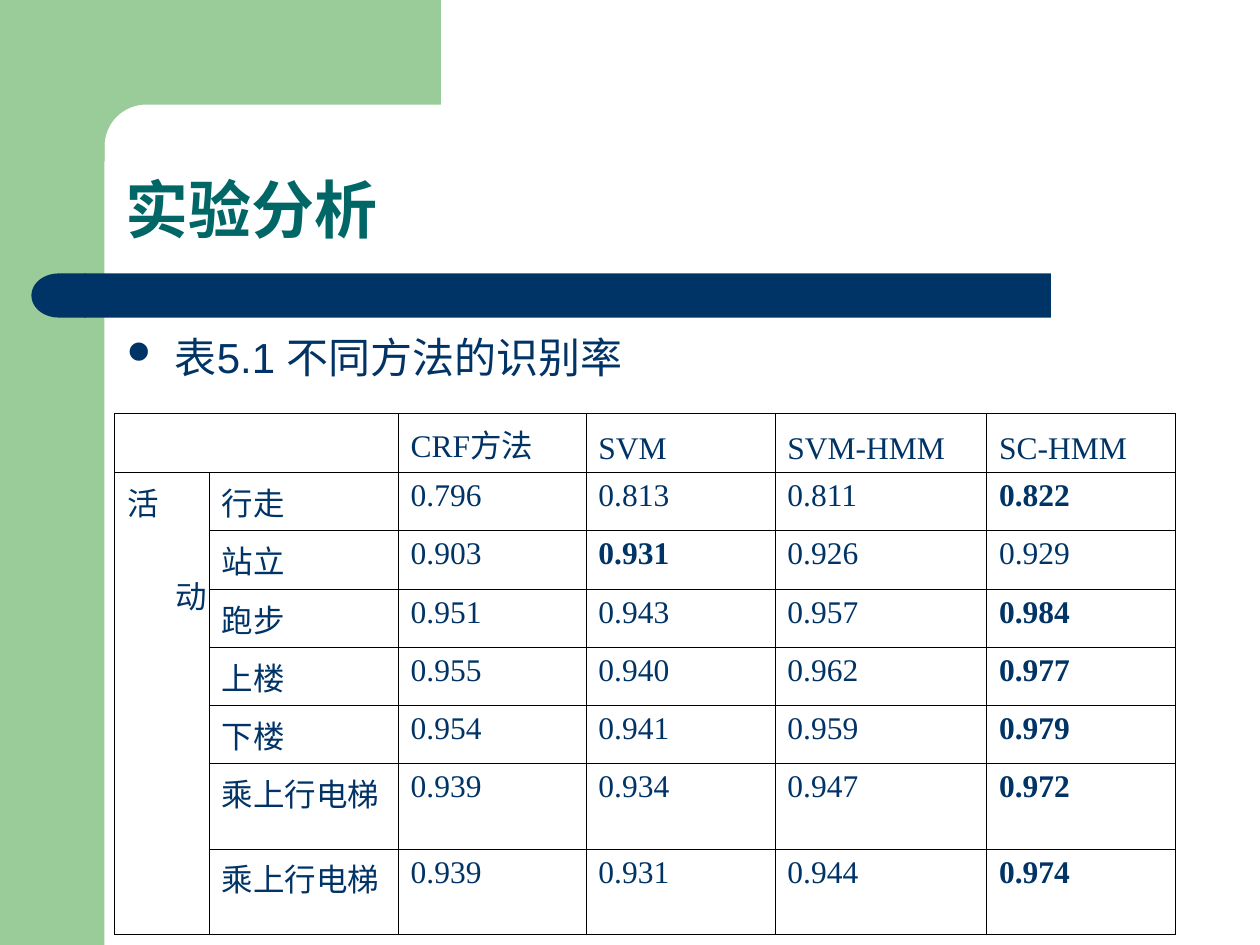
from dataclasses import dataclass
from math import cos, pi, sin

from lxml import etree
from pptx import Presentation
from pptx.dml.color import RGBColor
from pptx.enum.shapes import MSO_SHAPE
from pptx.enum.text import MSO_ANCHOR
from pptx.oxml.ns import qn
from pptx.util import Inches, Pt

RECTANGLE = MSO_SHAPE.RECTANGLE
ROUNDED_RECTANGLE = MSO_SHAPE.ROUNDED_RECTANGLE
DELAY = MSO_SHAPE.FLOWCHART_DELAY
TOP, BOTTOM = MSO_ANCHOR.TOP, MSO_ANCHOR.BOTTOM


@dataclass(frozen=True)
class Theme:
    green: str = "99CC99"
    navy: str = "003366"
    teal: str = "006666"
    border: str = "000000"
    heading_font: str = "Arial"
    table_font: str = "Times New Roman"
    bullet_font: str = "Wingdings"
    title_size: float = 36
    body_size: float = 24
    table_size: float = 18
    thin_line: float = 0.34
    thick_line: float = 0.45
    indent: float = 0.38


@dataclass(frozen=True)
class Box:
    left: float
    top: float
    width: float
    height: float

    def lengths(self) -> tuple:
        return tuple(Inches(v) for v in (self.left, self.top, self.width, self.height))


@dataclass(frozen=True)
class Activity:
    name: str
    rates: tuple[float, ...]


THEME = Theme()
METHODS = ("CRF方法", "SVM", "SVM-HMM", "SC-HMM")
ACTIVITIES = (
    Activity("行走", (0.796, 0.813, 0.811, 0.822)),
    Activity("站立", (0.903, 0.931, 0.926, 0.929)),
    Activity("跑步", (0.951, 0.943, 0.957, 0.984)),
    Activity("上楼", (0.955, 0.940, 0.962, 0.977)),
    Activity("下楼", (0.954, 0.941, 0.959, 0.979)),
    Activity("乘上行电梯", (0.939, 0.934, 0.947, 0.972)),
    Activity("乘上行电梯", (0.939, 0.931, 0.944, 0.974)),
)
COLUMN_WIDTHS = (0.75, 1.5, 1.49, 1.5, 1.68, 1.5)
ROW_HEIGHTS = (0.47, 0.46, 0.47, 0.46, 0.46, 0.46, 0.68, 0.68)


def paint(shape, color: str) -> None:
    shape.shadow.inherit = False
    shape.fill.solid()
    shape.fill.fore_color.rgb = RGBColor.from_string(color)
    shape.line.fill.background()


def add_block(slide, kind, box: Box, color: str):
    shape = slide.shapes.add_shape(kind, *box.lengths())
    paint(shape, color)
    return shape


def add_corner(slide) -> None:
    """Green top band whose inner corner is a quarter circle."""
    radius, steps = 0.33, 16
    center = 0.83 + radius
    angles = [pi / 2 * step / steps for step in range(steps + 1)]
    arc = [(center - radius * sin(a), center - radius * cos(a)) for a in angles]
    points = [(3.5, 0.83), *arc, (0.83, 1.28), (0.5, 1.28), (0.5, 0)]
    builder = slide.shapes.build_freeform(Inches(3.5), 0)
    builder.add_line_segments([(Inches(x), Inches(y)) for x, y in points], close=True)
    paint(builder.convert_to_shape(), THEME.green)


def format_runs(paragraph, font: str, size: float, color: str, bold: bool = False) -> None:
    for run in paragraph.runs:
        run.font.name = font
        run.font.size = Pt(size)
        run.font.bold = bold
        run.font.color.rgb = RGBColor.from_string(color)


def set_indent(paragraph, left: float, first: float):
    properties = paragraph._p.get_or_add_pPr()
    properties.set("marL", str(Inches(left)))
    properties.set("indent", str(Inches(first)))
    return properties


def add_text(slide, box: Box, text: str, anchor):
    frame = slide.shapes.add_textbox(*box.lengths()).text_frame
    frame.word_wrap = True
    frame.vertical_anchor = anchor
    frame.text = text
    return frame.paragraphs[0]


def add_bullet(paragraph) -> None:
    """Hang a round bullet, which is the letter l in the symbol font."""
    properties = set_indent(paragraph, THEME.indent, -THEME.indent)
    color = etree.SubElement(properties, qn("a:buClr"))
    etree.SubElement(color, qn("a:srgbClr"), val=THEME.navy)
    etree.SubElement(properties, qn("a:buSzPct"), val="75000")
    etree.SubElement(properties, qn("a:buFont"), typeface=THEME.bullet_font, charset="2")
    etree.SubElement(properties, qn("a:buChar"), char="l")


def set_borders(cell, row: int) -> None:
    """Frame a cell, heavier around the header row and below the last row."""
    last = len(ROW_HEIGHTS) - 1
    top = THEME.thick_line if row <= 1 else THEME.thin_line
    bottom = THEME.thick_line if row in (0, last) else THEME.thin_line
    widths = {"L": THEME.thin_line, "R": THEME.thin_line, "T": top, "B": bottom}
    properties = cell._tc.get_or_add_tcPr()
    for side, width in widths.items():
        line = etree.SubElement(properties, qn(f"a:ln{side}"), w=str(Pt(width)))
        fill = etree.SubElement(line, qn("a:solidFill"))
        etree.SubElement(fill, qn("a:srgbClr"), val=THEME.border)


def fill_cell(cell, text: str, anchor=TOP, bold: bool = False) -> None:
    cell.text_frame.text = text
    cell.vertical_anchor = anchor
    for paragraph in cell.text_frame.paragraphs:
        set_indent(paragraph, THEME.indent, -THEME.indent)
        format_runs(paragraph, THEME.table_font, THEME.table_size, THEME.navy, bold)


def add_rate_table(slide) -> None:
    box = Box(0.91, 3.28, sum(COLUMN_WIDTHS), sum(ROW_HEIGHTS))
    table = slide.shapes.add_table(
        len(ROW_HEIGHTS), len(COLUMN_WIDTHS), *box.lengths()).table
    table.first_row = table.horz_banding = False
    for column, width in zip(table.columns, COLUMN_WIDTHS):
        column.width = Inches(width)
    for index, (row, height) in enumerate(zip(table.rows, ROW_HEIGHTS)):
        row.height = Inches(height)
        for cell in row.cells:
            set_borders(cell, index)
            cell.fill.background()

    table.cell(0, 0).merge(table.cell(0, 1))
    for column, method in enumerate(METHODS, start=2):
        fill_cell(table.cell(0, column), method, BOTTOM)

    group = table.cell(1, 0)
    group.merge(table.cell(len(ACTIVITIES), 0))
    fill_cell(group, "活\n动")
    group.margin_right = 0
    second = group.text_frame.paragraphs[1]
    set_indent(second, THEME.indent, 0)
    second.space_before = Pt(27)

    for row, activity in enumerate(ACTIVITIES, start=1):
        fill_cell(table.cell(row, 1), activity.name)
        best = max(activity.rates)
        for column, rate in enumerate(activity.rates, start=2):
            fill_cell(table.cell(row, column), f"{rate:.3f}", bold=rate == best)


def main() -> None:
    presentation = Presentation()
    presentation.slide_width, presentation.slide_height = Inches(10), Inches(7.5)
    slide = presentation.slides.add_slide(presentation.slide_layouts[6])

    add_block(slide, RECTANGLE, Box(0, 0, 0.83, 7.5), THEME.green)
    add_corner(slide)
    bar = add_block(slide, ROUNDED_RECTANGLE, Box(0.67, 2.17, 7.67, 0.35), THEME.navy)
    bar.adjustments[0] = 0
    bar_end = add_block(slide, DELAY, Box(0.25, 2.17, 0.43, 0.35), THEME.navy)
    bar_end.element.spPr.find(qn("a:xfrm")).set("flipH", "1")

    title = add_text(slide, Box(0.9, 0.92, 8.51, 1.09), "实验分析", BOTTOM)
    title.line_spacing = 0.9
    format_runs(title, THEME.heading_font, THEME.title_size, THEME.teal, bold=True)

    caption = add_text(slide, Box(0.91, 2.58, 4.71, 0.61), "表5.1 不同方法的识别率", TOP)
    add_bullet(caption)
    format_runs(caption, THEME.heading_font, THEME.body_size, THEME.navy)

    add_rate_table(slide)
    presentation.save("out.pptx")


if __name__ == "__main__":
    main()
